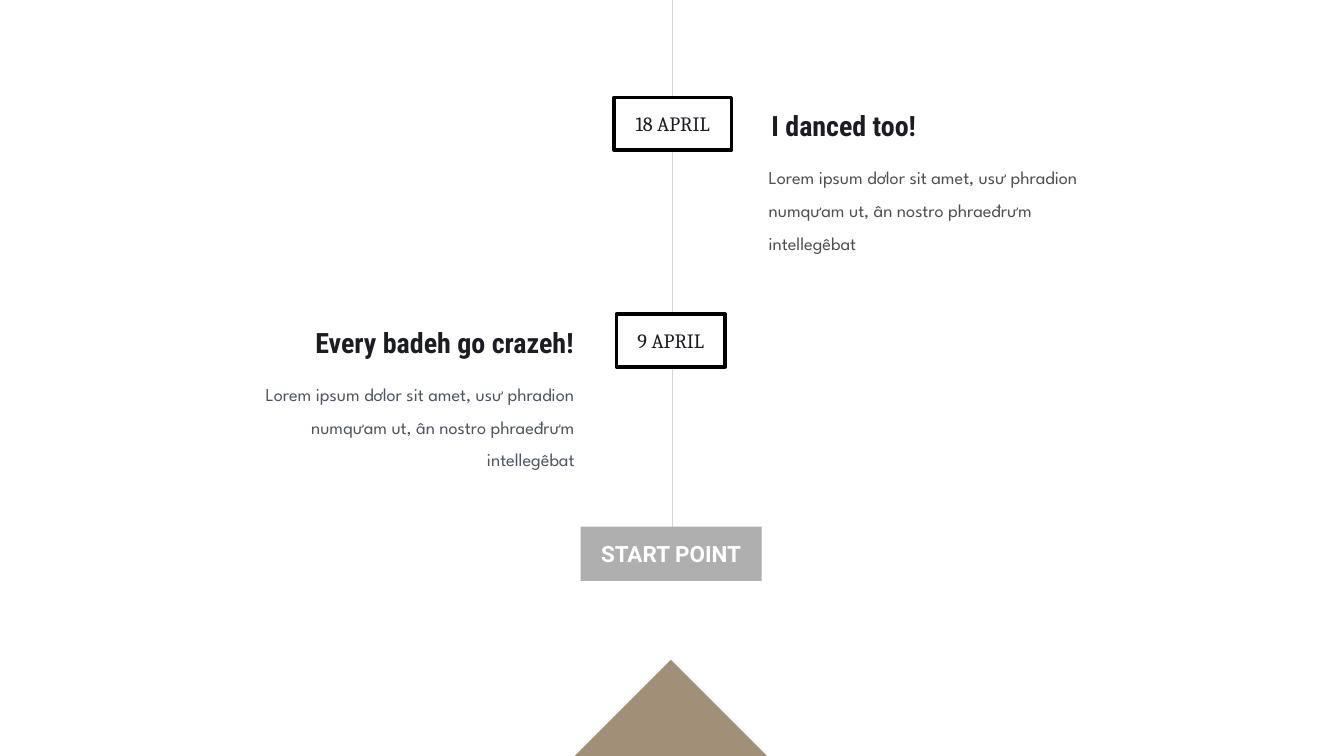
from pptx import Presentation
from pptx.dml.color import RGBColor
from pptx.enum.shapes import MSO_CONNECTOR, MSO_SHAPE
from pptx.enum.text import MSO_ANCHOR, PP_ALIGN
from pptx.oxml.ns import qn
from pptx.util import Pt
from lxml.etree import SubElement

COLORS = {
    "white": "FFFFFF",
    "black": "000000",
    "ink": "1C1D22",
    "slate": "4E5461",
    "gray": "504E4E",
    "axis": "D6D6D6",
    "start": "AFAFAF",
    "tan": "A19077",
}
BODY = "Lorem ipsum dơlor sit amet, usư phradion numqưam ut, ân nostro phraeđrưm intellegêbat"


def color(name):
    return RGBColor.from_string(COLORS[name])


def write(shape, text, font, size, ink, align, inset=0, bold=False,
          spacing=1.0, anchor=MSO_ANCHOR.MIDDLE):
    """Fill a shape's frame with one formatted paragraph."""
    frame = shape.text_frame
    frame.word_wrap = True
    frame.vertical_anchor = anchor
    frame.margin_left = frame.margin_right = Pt(inset)
    frame.margin_top = frame.margin_bottom = Pt(inset)
    paragraph = frame.paragraphs[0]
    paragraph.alignment = align
    paragraph.line_spacing = spacing
    run = paragraph.add_run()
    run.text = text
    run.font.name = font
    run.font.size = Pt(size)
    run.font.bold = bold
    run.font.color.rgb = color(ink)


prs = Presentation()
prs.slide_width, prs.slide_height = Pt(1920), Pt(1080)
slide = prs.slides.add_slide(prs.slide_layouts[6])
shapes = slide.shapes

# Timeline axis, tucked behind the start box
axis = shapes.add_connector(MSO_CONNECTOR.STRAIGHT, Pt(960.5), Pt(759), Pt(960.5), Pt(0))
axis.line.color.rgb = color("axis")
axis.line.width = Pt(1)
SubElement(axis._element.spPr, qn("a:effectLst"))

# Date boxes, start box: text, left, top, width, height, font, size, ink, bold, fill, border
labels = [
    ("9 APRIL", 880.5, 448.5, 155.5, 75.5, "Cambria", 29, "ink", False, "white", "black"),
    ("18 APRIL", 877, 139, 168, 75.5, "Cambria", 29, "ink", False, "white", "black"),
    ("START POINT", 829.5, 752.5, 258.5, 77.5, "Roboto", 32, "white", True, "start", None),
]
for text, left, top, width, height, font, size, ink, bold, fill, border in labels:
    label = shapes.add_shape(MSO_SHAPE.RECTANGLE, Pt(left), Pt(top), Pt(width), Pt(height))
    label.shadow.inherit = False
    label.fill.solid()
    label.fill.fore_color.rgb = color(fill)
    if border:
        label.line.color.rgb = color(border)
        label.line.width = Pt(5)
    else:
        label.line.fill.background()
    write(label, text, font, size, ink, PP_ALIGN.CENTER, inset=20, bold=bold)

# Events: heading, heading left and top, body left and top, body ink, alignment
events = [
    ("Every badeh go crazeh!", 323.5, 452.5, 321, 532, "slate", PP_ALIGN.RIGHT),
    ("I danced too!", 1098, 143, 1098, 222.5, "gray", PP_ALIGN.LEFT),
]
for title, title_left, title_top, body_left, body_top, ink, align in events:
    body = shapes.add_textbox(Pt(body_left), Pt(body_top), Pt(500), Pt(220))
    write(body, BODY, "League Spartan", 26, ink, align, spacing=1.5, anchor=MSO_ANCHOR.TOP)
    heading = shapes.add_textbox(Pt(title_left), Pt(title_top), Pt(500), Pt(63))
    write(heading, title, "Roboto Condensed", 40, "ink", align, inset=4, bold=True, spacing=1.2)

# Pointer rising from the bottom edge
outline = shapes.build_freeform(Pt(958.5), Pt(942.5))
outline.add_line_segments([(Pt(1096), Pt(1080)), (Pt(821), Pt(1080))], close=True)
pointer = outline.convert_to_shape()
pointer.shadow.inherit = False
pointer.fill.solid()
pointer.fill.fore_color.rgb = color("tan")
pointer.line.fill.background()

prs.save("out.pptx")
